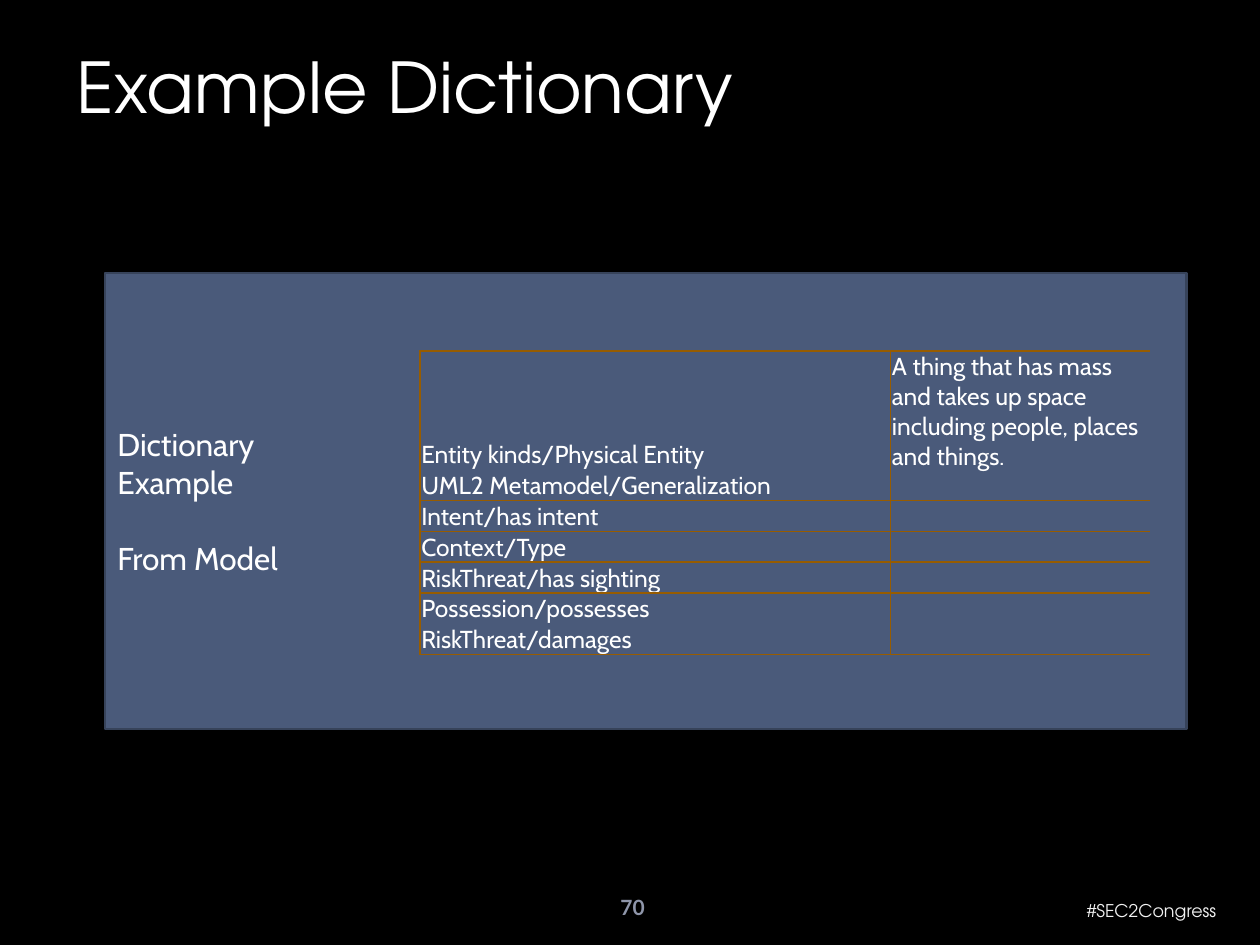
from lxml import etree
from pptx import Presentation
from pptx.dml.color import RGBColor
from pptx.enum.shapes import MSO_SHAPE
from pptx.enum.text import MSO_ANCHOR, PP_ALIGN
from pptx.oxml.ns import qn
from pptx.util import Pt

LEFT, CENTER, RIGHT = PP_ALIGN.LEFT, PP_ALIGN.CENTER, PP_ALIGN.RIGHT
TOP, MIDDLE, BOTTOM = MSO_ANCHOR.TOP, MSO_ANCHOR.MIDDLE, MSO_ANCHOR.BOTTOM
RECT = MSO_SHAPE.RECTANGLE
BLACK = RGBColor(0x00, 0x00, 0x00)
WHITE = RGBColor(0xFF, 0xFF, 0xFF)
PALE = RGBColor(0xF2, 0xF2, 0xF2)
GREY = RGBColor(0x8F, 0x96, 0xAA)
BLUE = RGBColor(0x4A, 0x5A, 0x7A)
NAVY = RGBColor(0x37, 0x43, 0x5A)
BROWN = RGBColor(0x97, 0x5C, 0x00)
HEAD, BODY, NUMBER = "TeX Gyre Adventor", "Cabin", "Lato"

TERMS = [
    ("Entity kinds/Physical Entity",
     "A thing that has mass and takes up space including people, places and things."),
    ("UML2 Metamodel/Generalization", ""),
    ("Intent/has intent", ""),
    ("Context/Type", ""),
    ("RiskThreat/has sighting", ""),
    ("Possession/possesses", ""),
    ("RiskThreat/damages", ""),
]
PLAIN = {(0, 1), (5, 6)}


class Deck:
    """Holds the style and the current slide."""

    def __init__(self, wide, high):
        self.prs = Presentation()
        self.prs.slide_width, self.prs.slide_height = Pt(wide), Pt(high)
        self.slide = self.prs.slides.add_slide(self.prs.slide_layouts[5])
        fill = self.slide.background.fill
        fill.solid()
        fill.fore_color.rgb = BLACK

    def words(self, para, text, size, face=BODY, color=WHITE, bold=False, align=LEFT):
        para.alignment = align
        run = para.add_run()
        run.text = text
        font = run.font
        font.size, font.name, font.bold = Pt(size), face, bold
        font.color.rgb = color

    def title(self, text, box):
        shape = self.slide.shapes.title
        shape.left, shape.top, shape.width, shape.height = map(Pt, box)
        shape.text_frame.vertical_anchor = MIDDLE
        para = shape.text_frame.paragraphs[0]
        para.space_before = Pt(4)
        self.words(para, text, 40, HEAD)

    def label(self, text, box, anchor, size, **look):
        frame = self.slide.shapes.add_textbox(*map(Pt, box)).text_frame
        frame.word_wrap = True
        frame.vertical_anchor = anchor
        self.words(frame.paragraphs[0], text, size, **look)

    def panel(self, lines, box):
        shape = self.slide.shapes.add_shape(RECT, *map(Pt, box))
        shape.shadow.inherit = False
        shape.fill.solid()
        shape.fill.fore_color.rgb = BLUE
        shape.line.color.rgb = NAVY
        shape.line.width = Pt(1.5)
        frame = shape.text_frame
        frame.vertical_anchor = MIDDLE
        for i, (text, gap) in enumerate(lines):
            para = frame.add_paragraph() if i else frame.paragraphs[0]
            para.space_before = Pt(gap)
            self.words(para, text, 18)

    def edge(self, cell, side, shown):
        props = cell._tc.get_or_add_tcPr()
        line = etree.SubElement(props, qn("a:ln" + side), w=str(Pt(1)))
        if shown:
            fill = etree.SubElement(line, qn("a:solidFill"))
            etree.SubElement(fill, qn("a:srgbClr"), val=str(BROWN))
        else:
            etree.SubElement(line, qn("a:noFill"))

    def cell(self, cell, text, edges):
        cell.margin_left = cell.margin_right = cell.margin_top = Pt(0.72)
        cell.margin_bottom = 0
        cell.vertical_anchor = BOTTOM
        for side, shown in edges.items():
            self.edge(cell, side, shown)
        cell.fill.background()
        para = cell.text_frame.paragraphs[0]
        if text:
            self.words(para, text, 14)
        else:
            end = etree.SubElement(para._p, qn("a:endParaRPr"), sz="1400")
            etree.SubElement(end, qn("a:latin"), typeface=BODY)

    def table(self, rows, box, cols, highs):
        grid = self.slide.shapes.add_table(len(rows), len(cols), *map(Pt, box)).table
        grid.first_row = grid.horz_banding = False
        for col, wide in zip(grid.columns, cols):
            col.width = Pt(wide)
        for r, (row, high) in enumerate(zip(rows, highs)):
            grid.rows[r].height = Pt(high)
            for c, text in enumerate(row):
                edges = {"L": True, "R": c < len(cols) - 1,
                         "T": (r - 1, r) not in PLAIN,
                         "B": (r, r + 1) not in PLAIN}
                self.cell(grid.cell(r, c), text, edges)


def main():
    deck = Deck(720, 540)
    deck.label("70", (345, 504, 33, 28.8), MIDDLE, 12, face=NUMBER,
               color=GREY, bold=True, align=CENTER)
    deck.label("#SEC2Congress", (583, 511, 119, 19.4), TOP, 10, face=HEAD,
               color=PALE, align=RIGHT)
    deck.panel([("Dictionary", 0), ("Example", 0), ("From Model", 21.8)],
               (60, 156, 618, 260.6))
    deck.title("Example Dictionary", (36.7, 11.5, 631.4, 74.9))
    deck.table(TERMS, (240, 200.6, 417, 173.5), (269, 148), [45] + [15] * 6)
    deck.prs.save("out.pptx")


if __name__ == "__main__":
    main()
